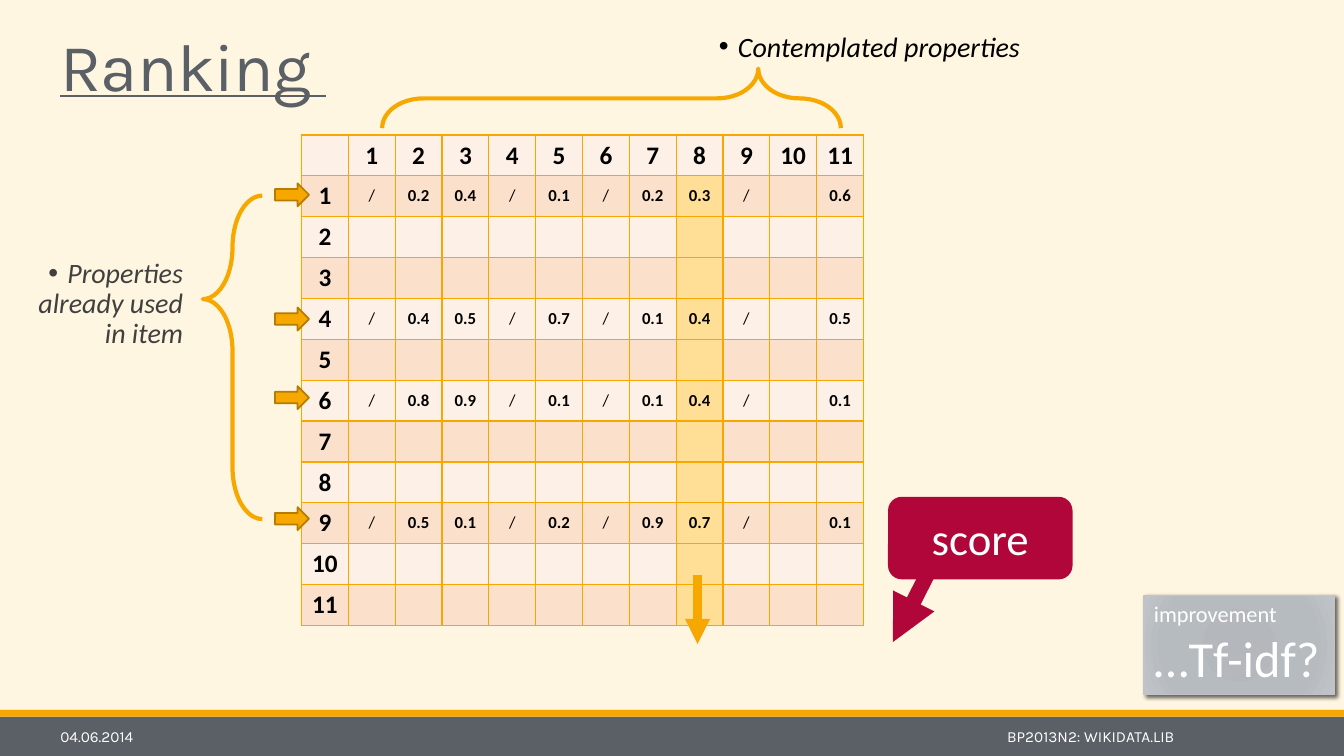
"""Build the ranking slide with its property score table."""
from pptx import Presentation
from pptx.dml.color import RGBColor
from pptx.enum.shapes import MSO_CONNECTOR, MSO_SHAPE
from pptx.enum.text import MSO_ANCHOR, MSO_AUTO_SIZE, PP_ALIGN
from pptx.oxml import parse_xml
from pptx.oxml.ns import nsdecls, qn
from pptx.util import Cm, Pt

RECTANGLE, ROUNDED = MSO_SHAPE.RECTANGLE, MSO_SHAPE.ROUNDED_RECTANGLE
RIGHT_ARROW, LEFT_BRACE = MSO_SHAPE.RIGHT_ARROW, MSO_SHAPE.LEFT_BRACE
STRAIGHT = MSO_CONNECTOR.STRAIGHT
LEFT, CENTER, RIGHT = PP_ALIGN.LEFT, PP_ALIGN.CENTER, PP_ALIGN.RIGHT
TOP, MIDDLE, BOTTOM = MSO_ANCHOR.TOP, MSO_ANCHOR.MIDDLE, MSO_ANCHOR.BOTTOM

GREY = RGBColor(0x5A, 0x60, 0x65)
ORANGE = RGBColor(0xF6, 0xA8, 0x00)
DARK_ORANGE = RGBColor(0xB6, 0x7C, 0x00)
CREAM = RGBColor(0xFF, 0xF6, 0xE1)
CRIMSON = RGBColor(0xB1, 0x06, 0x3A)
SILVER = RGBColor(0xC0, 0xC4, 0xC8)
CHARCOAL = RGBColor(0x40, 0x40, 0x40)
BLACK = RGBColor(0x00, 0x00, 0x00)
WHITE = RGBColor(0xFF, 0xFF, 0xFF)
LIGHT_ROW = RGBColor(0xFD, 0xF1, 0xE7)
DARK_ROW = RGBColor(0xFB, 0xE1, 0xCC)
HIGHLIGHT = RGBColor(0xFF, 0xDE, 0x95)

TABLE_SIZE = 12
HIGHLIGHT_COLUMN = 8
SCORES = {
    1: "/ 0.2 0.4 / 0.1 / 0.2 0.3 / - 0.6",
    4: "/ 0.4 0.5 / 0.7 / 0.1 0.4 / - 0.5",
    6: "/ 0.8 0.9 / 0.1 / 0.1 0.4 / - 0.1",
    9: "/ 0.5 0.1 / 0.2 / 0.9 0.7 / - 0.1",
}
ARROW_TOPS = (4.62, 7.75, 9.73, 12.78)
GRADIENT_STOPS = ((0, "B2B7BB"), (34, "B4B8BD"), (70, "B6BBC0"), (100, "C0C4C8"))


def place(shape, left, top, width, height):
    """Position a shape, in centimetres."""
    shape.left, shape.top = Cm(left), Cm(top)
    shape.width, shape.height = Cm(width), Cm(height)


def format_paragraph(paragraph, size, color, font="Calibri", align=LEFT,
                     bold=False, italic=False):
    """Format a paragraph and its runs."""
    paragraph.alignment = align
    for run in paragraph.runs:
        run.font.name, run.font.size = font, Pt(size)
        run.font.bold, run.font.italic = bold, italic
        run.font.color.rgb = color


def add_box(slide, kind, box, fill=None, line=None, line_width=1):
    """Add a preset shape without a shadow."""
    shape = slide.shapes.add_shape(kind, *(Cm(length) for length in box))
    shape.shadow.inherit = False
    if fill is None:
        shape.fill.background()
    else:
        shape.fill.solid()
        shape.fill.fore_color.rgb = fill
    if line is None:
        shape.line.fill.background()
    else:
        shape.line.color.rgb = line
        shape.line.width = Pt(line_width)
    return shape


def add_label(slide, text, box, size, color, **style):
    """Add a wrapped single-paragraph text box."""
    label = slide.shapes.add_textbox(*(Cm(length) for length in box))
    frame = label.text_frame
    frame.word_wrap = True
    frame.text = text
    format_paragraph(frame.paragraphs[0], size, color, **style)
    return label


def add_bullet(paragraph, line_spacing):
    """Give a paragraph a hanging round bullet."""
    paragraph.line_spacing = line_spacing
    paragraph.space_before, paragraph.space_after = Pt(0), Pt(2)
    properties = paragraph._p.get_or_add_pPr()
    properties.set("marL", str(Cm(0.48)))
    properties.set("indent", str(-Cm(0.48)))
    properties.append(parse_xml(f'<a:buFont {nsdecls("a")} typeface="Arial"/>'))
    properties.append(parse_xml(f'<a:buChar {nsdecls("a")} char="•"/>'))


def add_arrow(slide, start, end, color, width):
    """Add a straight arrow between two points."""
    points = (Cm(length) for length in start + end)
    arrow = slide.shapes.add_connector(STRAIGHT, *points)
    arrow.line.color.rgb = color
    arrow.line.width = Pt(width)
    arrow.line._get_or_add_ln().append(
        parse_xml(f'<a:tailEnd {nsdecls("a")} type="triangle"/>'))
    arrow._element.spPr.append(parse_xml(f'<a:effectLst {nsdecls("a")}/>'))


def add_brace(slide, box, point, rotation=0):
    """Add an orange brace with its tip at the given fraction."""
    brace = add_box(slide, LEFT_BRACE, box, line=ORANGE, line_width=3)
    brace.adjustments[0], brace.adjustments[1] = 1.22, point
    brace.rotation = rotation


def style_cell(cell, row, column):
    """Fill a cell and draw its four borders."""
    cell.margin_left = cell.margin_right = Cm(0.1)
    cell.vertical_anchor = MIDDLE
    properties = cell._tc.get_or_add_tcPr()
    for side in ("lnL", "lnR", "lnT", "lnB"):
        properties.append(parse_xml(
            f'<a:{side} {nsdecls("a")} w="{Pt(1)}"><a:solidFill>'
            f'<a:srgbClr val="{ORANGE}"/></a:solidFill></a:{side}>'))
    cell.fill.solid()
    band = DARK_ROW if row % 2 else LIGHT_ROW
    highlighted = row and column == HIGHLIGHT_COLUMN
    cell.fill.fore_color.rgb = HIGHLIGHT if highlighted else band


def cell_text(row, column):
    """Return the heading or score shown in a cell."""
    if row == 0 or column == 0:
        return str(row + column) if row + column else ""
    if row not in SCORES:
        return ""
    return SCORES[row].split()[column - 1].replace("-", "")


def add_score_table(slide):
    """Add the property matrix."""
    table = slide.shapes.add_table(TABLE_SIZE, TABLE_SIZE, Cm(7.6), Cm(3.4),
                                   Cm(14.16), Cm(12.36)).table
    for index in range(TABLE_SIZE):
        table.columns[index].width = Cm(1.18)
        table.rows[index].height = Cm(1.03)
    for row in range(TABLE_SIZE):
        for column in range(TABLE_SIZE):
            cell = table.cell(row, column)
            text = cell_text(row, column)
            style_cell(cell, row, column)
            if text:
                cell.text_frame.text = text
                format_paragraph(cell.text_frame.paragraphs[0],
                                 12 if row and column else 18, BLACK,
                                 align=CENTER, bold=text != "/")


def add_improvement(slide):
    """Add the silver improvement note."""
    note = add_box(slide, RECTANGLE, (28.83, 15.01, 4.8, 2.49), line=SILVER)
    properties = note._element.spPr
    stops = "".join(f'<a:gs pos="{position * 1000}"><a:srgbClr val="{color}"/></a:gs>'
                    for position, color in GRADIENT_STOPS)
    gradient = parse_xml(
        f'<a:gradFill {nsdecls("a")} rotWithShape="1"><a:gsLst>{stops}</a:gsLst>'
        '<a:path path="circle"><a:fillToRect l="100000" t="100000" r="100000" '
        'b="100000"/></a:path></a:gradFill>')
    properties.replace(properties.find(qn("a:noFill")), gradient)
    properties.find(qn("a:effectLst")).append(parse_xml(
        f'<a:outerShdw {nsdecls("a")} blurRad="{Pt(3)}" dist="{Pt(2)}" dir="2700000">'
        '<a:srgbClr val="000000"><a:alpha val="60000"/></a:srgbClr></a:outerShdw>'))
    frame = note.text_frame
    frame.word_wrap = True
    frame.vertical_anchor = TOP
    frame.text = "improvement\n…Tf-idf?"
    for paragraph, size in zip(frame.paragraphs, (16, 36)):
        format_paragraph(paragraph, size, WHITE)


def fill_placeholders(slide):
    """Place and format the title and the row description."""
    title, body = slide.shapes.title, slide.placeholders[1]
    place(title, 1.27, 0, 28.04, 2.79)
    place(body, -0.36, 6.4, 5.23, 4.78)
    for shape, text, anchor in ((title, "Ranking ", BOTTOM),
                                (body, "Properties already used in item", TOP)):
        shape.text_frame.text = text
        shape.text_frame.auto_size = MSO_AUTO_SIZE.NONE
        shape.text_frame.vertical_anchor = anchor
    heading = title.text_frame.paragraphs[0]
    heading.line_spacing = 0.85
    format_paragraph(heading, 48, GREY, font="Karla")
    heading.runs[0].font.underline = True
    heading.runs[0].font._element.set("spc", "-50")
    description = body.text_frame.paragraphs[0]
    add_bullet(description, 0.9)
    format_paragraph(description, 20, CHARCOAL, align=RIGHT, italic=True)


def main():
    """Create and save the presentation."""
    presentation = Presentation()
    presentation.slide_width, presentation.slide_height = Cm(33.87), Cm(19.05)
    slide = presentation.slides.add_slide(presentation.slide_layouts[1])
    bands = [add_box(slide, RECTANGLE, (0, top, 33.87, height), fill)
             for top, height, fill in ((18.06, 0.99, GREY), (17.88, 0.18, ORANGE),
                                       (0, 17.88, CREAM))]
    for position, band in enumerate(bands, start=2):
        slide.shapes._spTree.insert(position, band._element)
    fill_placeholders(slide)
    for text, left, width, align in (("04.06.2014", 1.27, 2.67, LEFT),
                                     ("BP2013N2: WIKIDATA.LIB", 4.04, 25.81, RIGHT)):
        label = add_label(slide, text, (left, 18.06, width, 0.99), 11, WHITE,
                          font="Karla", align=align)
        label.text_frame.vertical_anchor = MIDDLE
    add_score_table(slide)
    for top in ARROW_TOPS:
        add_box(slide, RIGHT_ARROW, (6.93, top, 0.86, 0.58), ORANGE, DARK_ORANGE, 1.25)
    add_arrow(slide, (17.58, 14.5), (17.58, 16.23), ORANGE, 6)
    add_arrow(slide, (24.13, 12.98), (22.5, 16.18), CRIMSON, 11)
    score = add_box(slide, ROUNDED, (22.38, 12.52, 4.65, 2.08), CRIMSON)
    score.text_frame.text = "score"
    format_paragraph(score.text_frame.paragraphs[0], 32, WHITE, align=CENTER)
    add_brace(slide, (5.11, 4.93, 1.5, 8.15), 0.32)
    add_brace(slide, (14.66, -3.3, 1.5, 11.56), 0.18, rotation=90)
    columns = add_label(slide, "Contemplated properties", (17.07, 0.79, 8.89, 0.97),
                        20, BLACK, align=RIGHT, italic=True)
    add_bullet(columns.text_frame.paragraphs[0], 0.8)
    add_improvement(slide)
    presentation.save("out.pptx")


if __name__ == "__main__":
    main()
